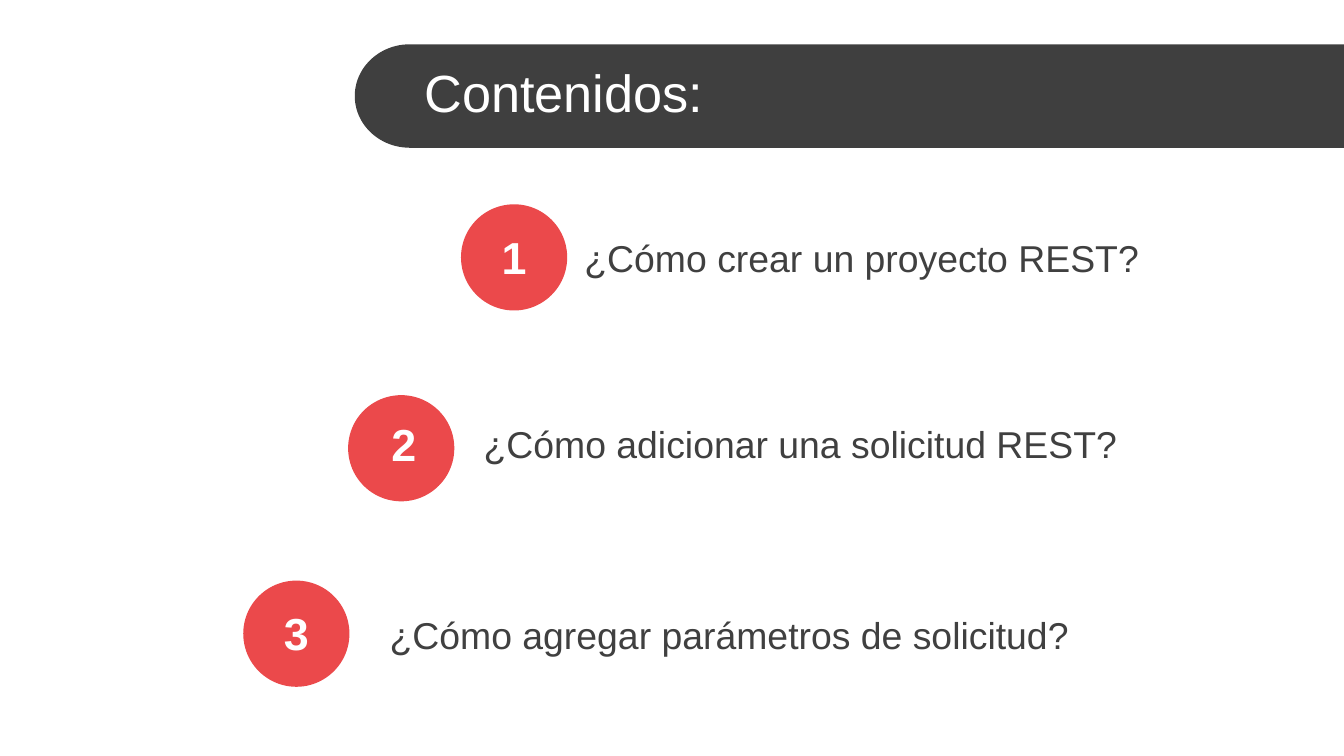
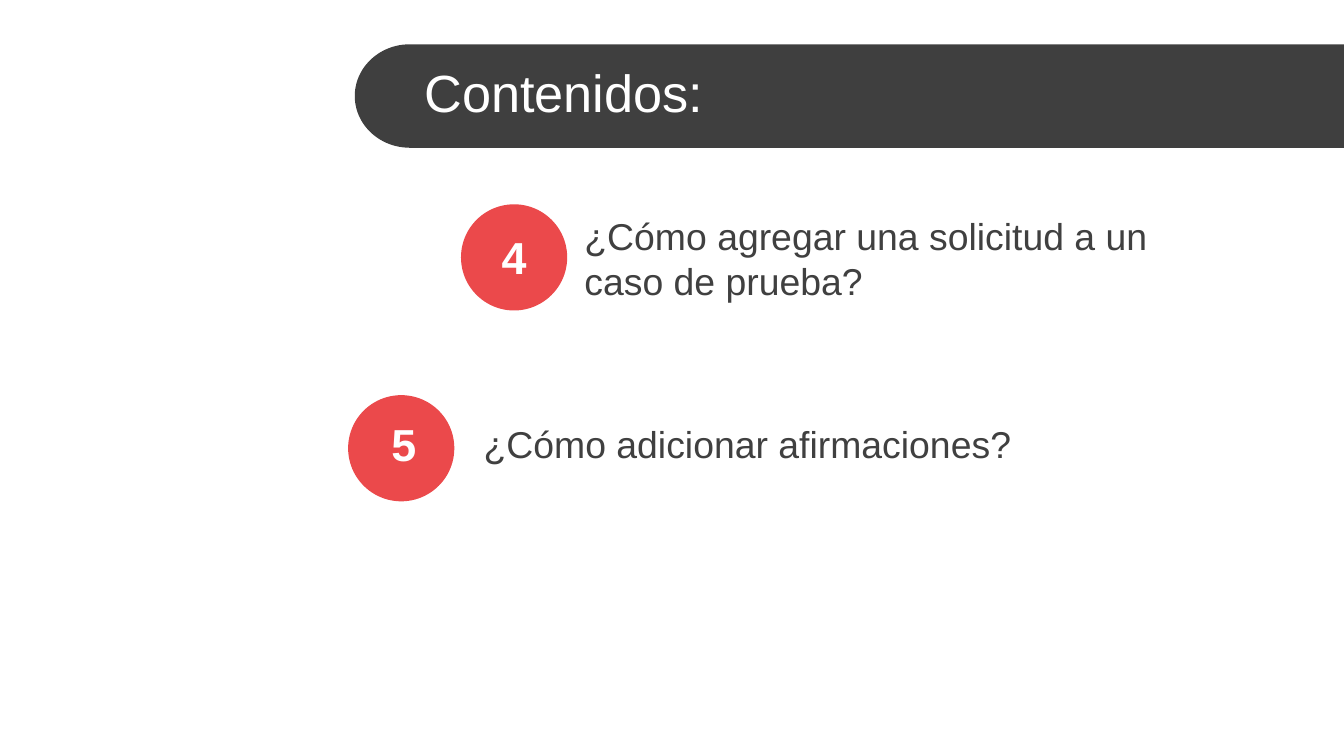
import math

from pptx import Presentation
from pptx.dml.color import RGBColor
from pptx.enum.shapes import MSO_SHAPE
from pptx.enum.text import MSO_ANCHOR, PP_ALIGN
from pptx.util import Inches, Pt

OVAL = MSO_SHAPE.OVAL
MIDDLE = MSO_ANCHOR.MIDDLE
LEFT, CENTER = PP_ALIGN.LEFT, PP_ALIGN.CENTER

TITLE = "Contenidos:"
AGENDA = [
    [
        "¿Cómo crear un proyecto REST?",
        "¿Cómo adicionar una solicitud REST?",
        "¿Cómo agregar parámetros de solicitud?",
    ],
    [
        "¿Cómo agregar una solicitud a un caso de prueba?",
        "¿Cómo adicionar afirmaciones?",
    ],
]

SLIDE_WIDTH = 10
SLIDE_HEIGHT = SLIDE_WIDTH * 9 / 16
BAND_LEFT, BAND_TOP, BAND_HEIGHT, BAND_CURVE = 2.64, 0.33, 0.77, 0.41
ARC_STEPS = 48
CIRCLE = 0.79
NUMBER_HEIGHT = 0.5
LINE_HEIGHT, TWO_LINE_HEIGHT = 0.44, 0.77
LINE_LIMIT = 40

ROWS = [
    {"circle": (3.43, 1.52), "number": (3.43, 1.66), "label": (4.25, 1.92, 5.04)},
    {"circle": (2.59, 2.94), "number": (2.61, 3.05), "label": (3.5, 3.3, 5.04)},
    {"circle": (1.81, 4.32), "number": (1.81, 4.46), "label": (2.8, 4.72, 6.49)},
]

BAND_COLOR = "3F3F3F"
CIRCLE_COLOR = "EB494B"
TITLE_FORMAT = {"size": Pt(28), "color": "FFFFFF", "bold": False}
LABEL_FORMAT = {"size": Pt(20), "color": "404040", "bold": False}
NUMBER_FORMAT = {"size": Pt(24), "color": "FFFFFF", "bold": True}


def rgb(value):
    return RGBColor.from_string(value)


def paint(shape, color):
    shape.shadow.inherit = False
    shape.fill.solid()
    shape.fill.fore_color.rgb = rgb(color)
    shape.line.fill.background()


def add_text(slide, text, box, text_format, alignment=LEFT):
    frame = slide.shapes.add_textbox(*map(Inches, box)).text_frame
    frame.word_wrap = True
    frame.vertical_anchor = MIDDLE
    paragraph = frame.paragraphs[0]
    paragraph.alignment = alignment
    run = paragraph.add_run()
    run.text = text
    run.font.name = "Arial"
    for name, value in text_format.items():
        if name == "color":
            run.font.color.rgb = rgb(value)
        else:
            setattr(run.font, name, value)


def add_title_band(slide):
    radius = BAND_HEIGHT / 2
    arc_x, arc_y = BAND_LEFT + BAND_CURVE, BAND_TOP + radius
    points = [(SLIDE_WIDTH, BAND_TOP), (SLIDE_WIDTH, BAND_TOP + BAND_HEIGHT)]
    for step in range(ARC_STEPS + 1):
        angle = math.pi * step / ARC_STEPS
        points.append((arc_x - BAND_CURVE * math.sin(angle), arc_y + radius * math.cos(angle)))
    corners = [(Inches(x), Inches(y)) for x, y in points]
    builder = slide.shapes.build_freeform(*corners[0])
    builder.add_line_segments(corners[1:], close=True)
    paint(builder.convert_to_shape(), BAND_COLOR)
    add_text(slide, TITLE, (3.06, 0.37, 6.94, 0.63), TITLE_FORMAT)


def add_circle(slide, row):
    circle = slide.shapes.add_shape(OVAL, *map(Inches, (*row["circle"], CIRCLE, CIRCLE)))
    paint(circle, CIRCLE_COLOR)


def add_label(slide, label, row):
    left, middle, width = row["label"]
    height = TWO_LINE_HEIGHT if len(label) > LINE_LIMIT else LINE_HEIGHT
    add_text(slide, label, (left, middle - height / 2, width, height), LABEL_FORMAT)


def add_number(slide, number, row):
    add_text(slide, str(number), (*row["number"], CIRCLE, NUMBER_HEIGHT), NUMBER_FORMAT, CENTER)


def add_agenda(slide, labels, first_number):
    rows = ROWS[:len(labels)]
    for row in rows:
        add_circle(slide, row)
    for label, row in zip(labels, rows):
        add_label(slide, label, row)
    for number, row in enumerate(rows, first_number):
        add_number(slide, number, row)


def main():
    presentation = Presentation()
    presentation.slide_width = Inches(SLIDE_WIDTH)
    presentation.slide_height = Inches(SLIDE_HEIGHT)
    first_number = 1
    for labels in AGENDA:
        slide = presentation.slides.add_slide(presentation.slide_layouts[6])
        add_title_band(slide)
        add_agenda(slide, labels, first_number)
        first_number += len(labels)
    presentation.save("out.pptx")


if __name__ == "__main__":
    main()
